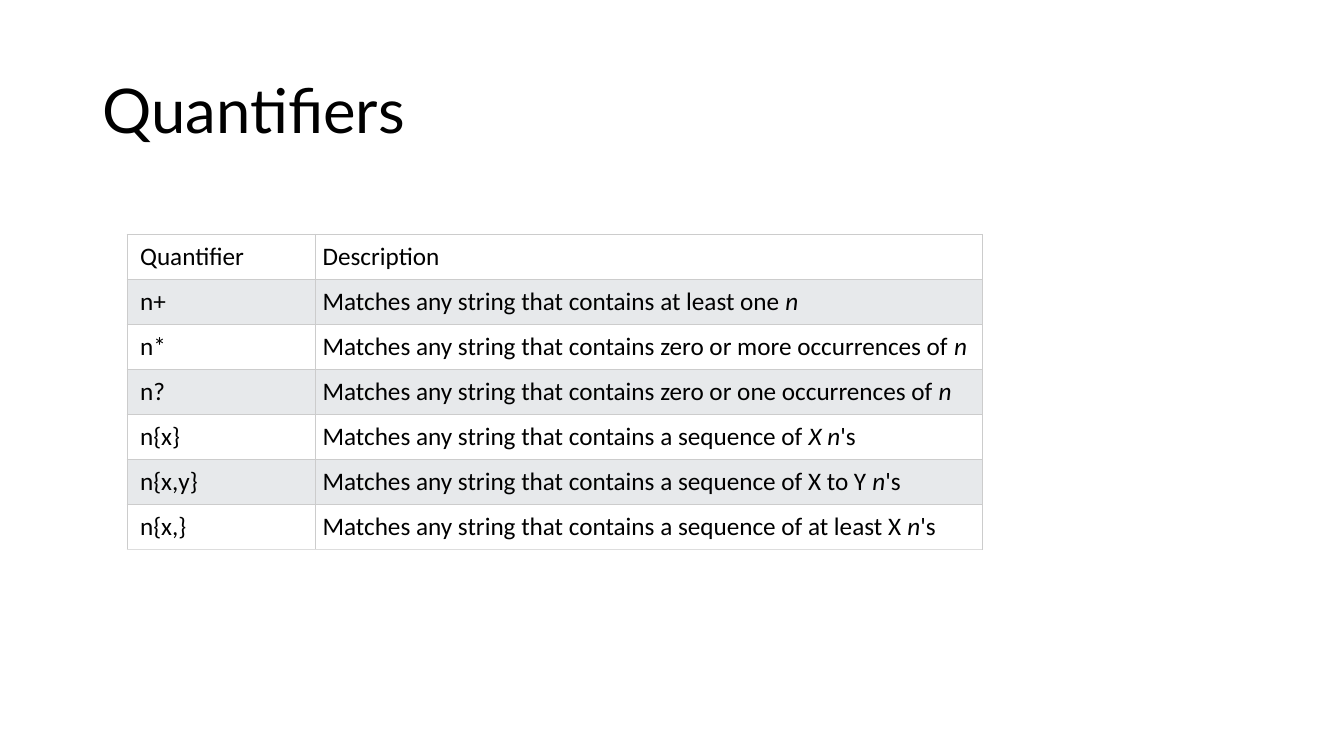
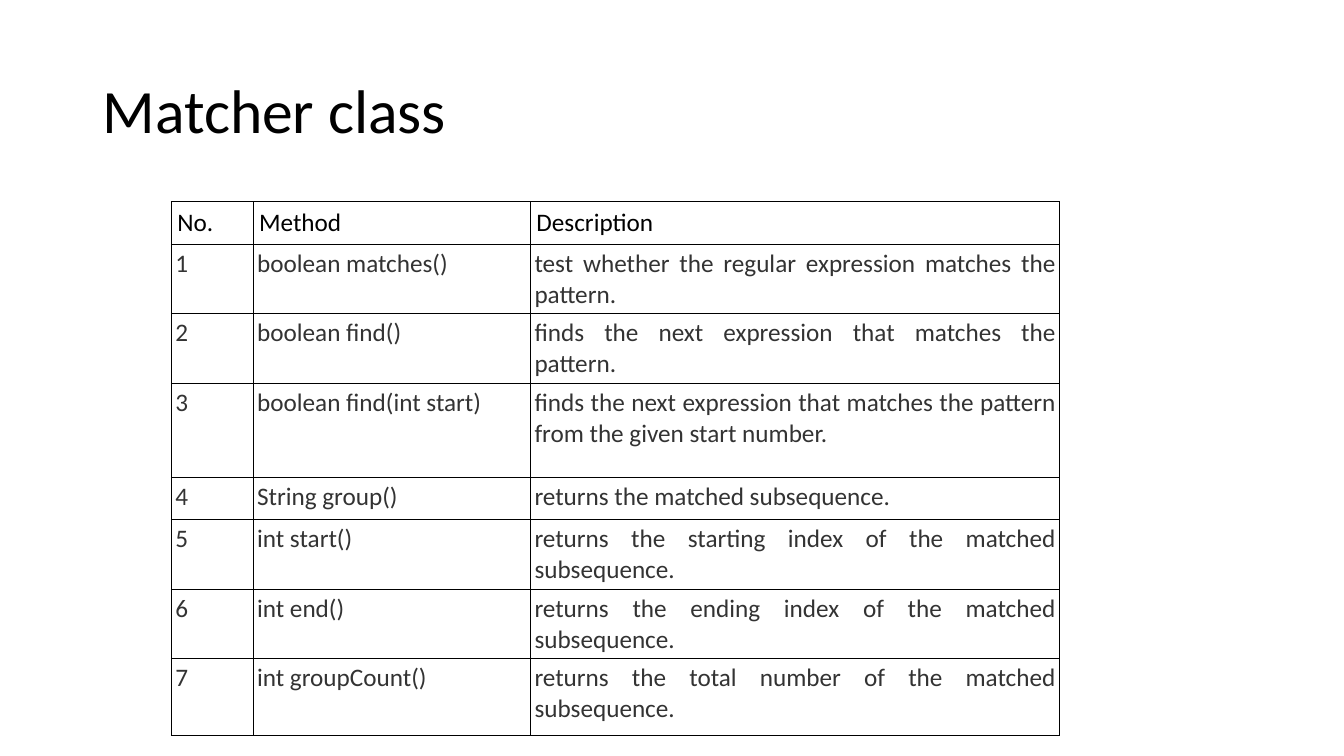
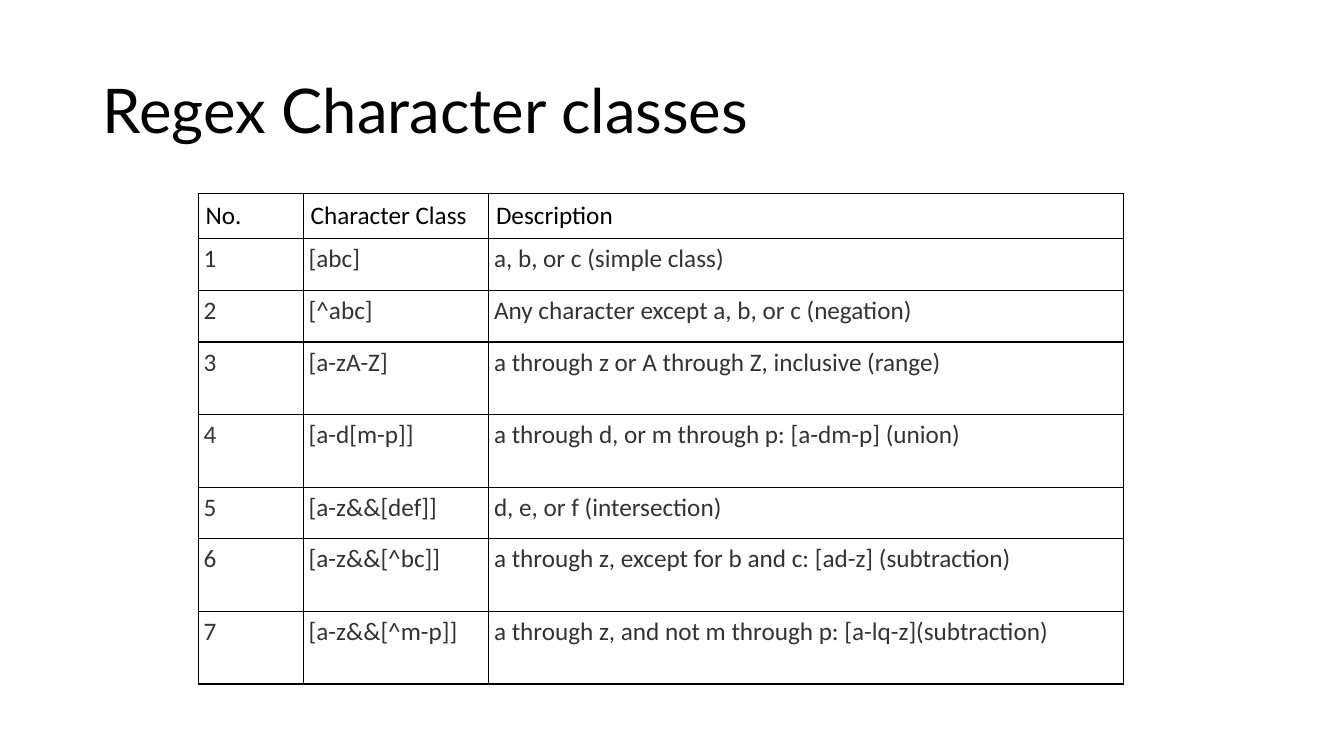
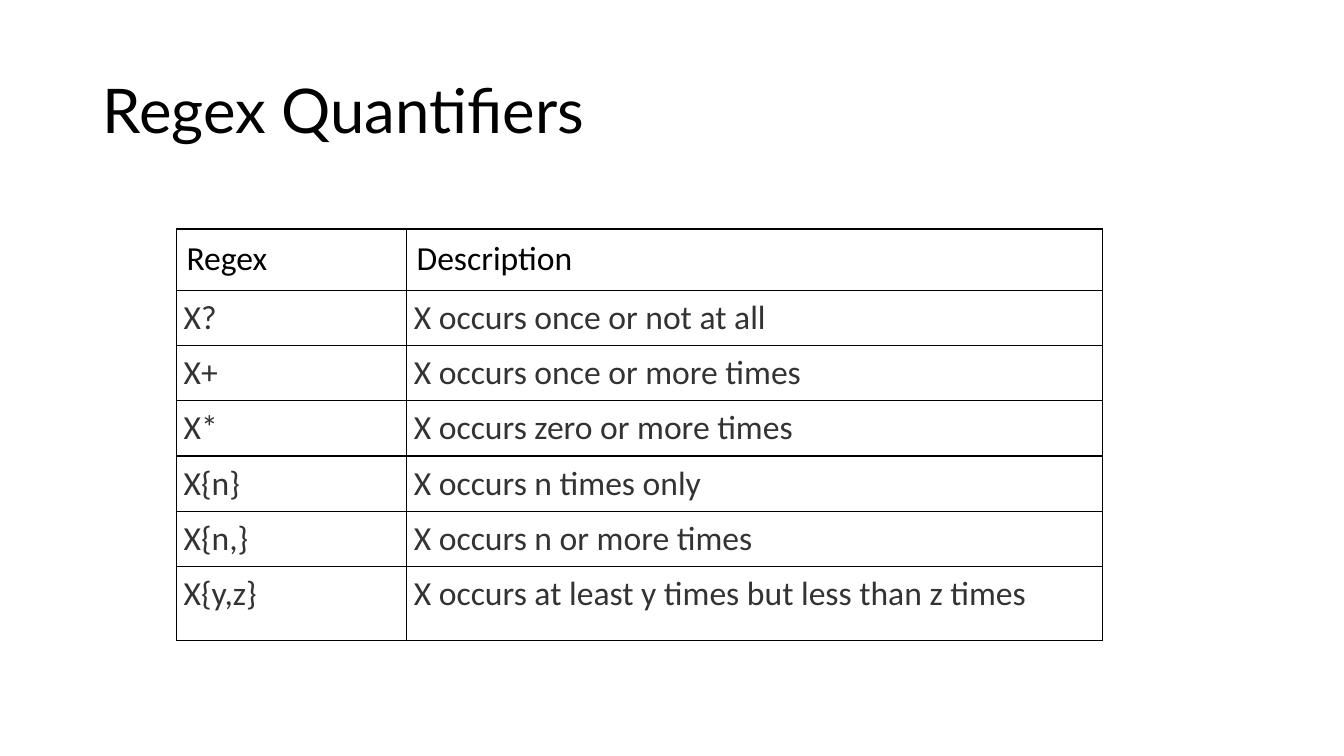
from dataclasses import dataclass

from lxml.etree import SubElement
from pptx import Presentation
from pptx.dml.color import RGBColor
from pptx.enum.text import MSO_ANCHOR, PP_ALIGN
from pptx.oxml.ns import qn
from pptx.slide import Slide
from pptx.table import _Cell
from pptx.util import Cm, Pt

COLORS = {
    "black": "000000",
    "body": "333333",
    "white": "FFFFFF",
    "stripe": "E7E9EB",
    "grid": "CCCCCC",
    "grid_end": "DDDDDD",
}
BODY_FONT = "Calibri"
TITLE_ONLY_LAYOUT = 5
ITALIC_MARK = "_"


@dataclass(frozen=True)
class CellStyle:
    color: str
    margin: float
    alignment: PP_ALIGN = PP_ALIGN.LEFT


@dataclass(frozen=True)
class TableSlide:
    title: str
    left: float
    top: float
    columns: tuple[float, ...]
    heights: tuple[float, ...]
    rows: tuple[tuple[str, ...], ...]
    header: CellStyle
    body: CellStyle
    title_font: str = "Lato"
    size: int = 18
    border: str = "black"
    end_border: str = "black"
    border_width: float = 1
    first_margin: float | None = None
    fills: tuple[str, ...] = ()


def numbered(
    header: tuple[str, str], *entries: tuple[str, str]
) -> tuple[tuple[str, ...], ...]:
    lines = tuple((str(number), *entry) for number, entry in enumerate(entries, 1))
    return (("No.", *header), *lines)


TABLE_SLIDES = (
    TableSlide(
        title="Quantifiers",
        left=3.2,
        top=5.9,
        columns=(4.75, 16.8),
        heights=(1.11,) * 7,
        rows=(
            ("Quantifier", "Description"),
            ("n+", "Matches any string that contains at least one _n_"),
            ("n*", "Matches any string that contains zero or more occurrences of _n_"),
            ("n?", "Matches any string that contains zero or one occurrences of _n_"),
            ("n{x}", "Matches any string that contains a sequence of _X n_'s"),
            ("n{x,y}", "Matches any string that contains a sequence of X to Y _n_'s"),
            ("n{x,}", "Matches any string that contains a sequence of at least X _n_'s"),
        ),
        header=CellStyle("black", 0.18),
        body=CellStyle("black", 0.18),
        border="grid",
        end_border="grid_end",
        border_width=0.6,
        first_margin=0.33,
        fills=("white", "stripe"),
    ),
    TableSlide(
        title="Matcher class",
        left=4.32,
        top=5.08,
        columns=(2.06, 6.99, 13.34),
        heights=(1.07, 1.75, 1.75, 2.37, 1.07, 1.75, 1.75, 1.94),
        rows=numbered(
            ("Method", "Description"),
            ("boolean matches()", "test whether the regular expression matches the pattern."),
            ("boolean find()", "finds the next expression that matches the pattern."),
            (
                "boolean find(int start)",
                "finds the next expression that matches the pattern from the given start number.",
            ),
            ("String group()", "returns the matched subsequence."),
            ("int start()", "returns the starting index of the matched subsequence."),
            ("int end()", "returns the ending index of the matched subsequence."),
            ("int groupCount()", "returns the total number of the matched subsequence."),
        ),
        header=CellStyle("black", 0.15),
        body=CellStyle("body", 0.1, PP_ALIGN.JUSTIFY),
        title_font=BODY_FONT,
    ),
    TableSlide(
        title="Regex Character classes",
        left=5,
        top=4.88,
        columns=(2.65, 4.67, 16),
        heights=(1.13, 1.3, 1.3, 1.83, 1.83, 1.3, 1.83, 1.83),
        rows=numbered(
            ("Character Class", "Description"),
            ("[abc]", "a, b, or c (simple class)"),
            ("[^abc]", "Any character except a, b, or c (negation)"),
            ("[a-zA-Z]", "a through z or A through Z, inclusive (range)"),
            ("[a-d[m-p]]", "a through d, or m through p: [a-dm-p] (union)"),
            ("[a-z&&[def]]", "d, e, or f (intersection)"),
            ("[a-z&&[^bc]]", "a through z, except for b and c: [ad-z] (subtraction)"),
            ("[a-z&&[^m-p]]", "a through z, and not m through p: [a-lq-z](subtraction)"),
        ),
        header=CellStyle("black", 0.18),
        body=CellStyle("body", 0.13, PP_ALIGN.JUSTIFY),
    ),
    TableSlide(
        title="Regex Quantifiers",
        left=4.45,
        top=5.77,
        columns=(5.8, 17.53),
        heights=(1.54, *(1.37,) * 5, 1.85),
        rows=(
            ("Regex", "Description"),
            ("X?", "X occurs once or not at all"),
            ("X+", "X occurs once or more times"),
            ("X*", "X occurs zero or more times"),
            ("X{n}", "X occurs n times only"),
            ("X{n,}", "X occurs n or more times"),
            ("X{y,z}", "X occurs at least y times but less than z times"),
        ),
        header=CellStyle("black", 0.25),
        body=CellStyle("body", 0.18, PP_ALIGN.JUSTIFY),
        size=24,
    ),
)


def rgb(name: str) -> RGBColor:
    return RGBColor.from_string(COLORS[name])


def add_title(slide: Slide, text: str, font_name: str) -> None:
    title = slide.shapes.title
    title.left, title.top, title.width, title.height = (
        Cm(2.33), Cm(1.02), Cm(29.21), Cm(3.68)
    )
    frame = title.text_frame
    frame.text = text
    frame.vertical_anchor = MSO_ANCHOR.MIDDLE
    paragraph = frame.paragraphs[0]
    paragraph.alignment = PP_ALIGN.LEFT
    paragraph.line_spacing = 0.9
    paragraph.font.name = font_name
    paragraph.font.size = Pt(44)
    paragraph.font.color.rgb = rgb("black")


def set_borders(cell: _Cell, color: str, bottom: str, width: float) -> None:
    properties = cell._tc.get_or_add_tcPr()
    for side, name in (("L", color), ("R", color), ("T", color), ("B", bottom)):
        line = SubElement(properties, qn(f"a:ln{side}"), w=str(int(Pt(width))))
        fill = SubElement(line, qn("a:solidFill"))
        SubElement(fill, qn("a:srgbClr"), val=COLORS[name])


def write_cell(cell: _Cell, text: str, style: CellStyle, size: int) -> None:
    margin = Cm(style.margin)
    cell.margin_left = cell.margin_right = margin
    cell.margin_top = cell.margin_bottom = margin
    paragraph = cell.text_frame.paragraphs[0]
    paragraph.alignment = style.alignment
    paragraph.font.name = BODY_FONT
    paragraph.font.size = Pt(size)
    paragraph.font.color.rgb = rgb(style.color)
    for index, part in enumerate(text.split(ITALIC_MARK)):
        if part:
            run = paragraph.add_run()
            run.text = part
            if index % 2:
                run.font.italic = True


def add_table(slide: Slide, content: TableSlide) -> None:
    table = slide.shapes.add_table(
        len(content.rows), len(content.columns),
        Cm(content.left), Cm(content.top),
        Cm(sum(content.columns)), Cm(sum(content.heights)),
    ).table
    table.first_row = False
    table.horz_banding = False
    for column, width in zip(table.columns, content.columns):
        column.width = Cm(width)
    for row, height in zip(table.rows, content.heights):
        row.height = Cm(height)
    last_row = len(content.rows) - 1
    for row_index, texts in enumerate(content.rows):
        style = content.body if row_index else content.header
        bottom = content.end_border if row_index == last_row else content.border
        for column_index, text in enumerate(texts):
            cell = table.cell(row_index, column_index)
            write_cell(cell, text, style, content.size)
            if column_index == 0 and content.first_margin is not None:
                cell.margin_left = Cm(content.first_margin)
            set_borders(cell, content.border, bottom, content.border_width)
            if content.fills:
                cell.fill.solid()
                cell.fill.fore_color.rgb = rgb(content.fills[row_index % len(content.fills)])
            else:
                cell.fill.background()


def main() -> None:
    presentation = Presentation()
    presentation.slide_width = Cm(33.87)
    presentation.slide_height = Cm(19.05)
    for content in TABLE_SLIDES:
        slide = presentation.slides.add_slide(presentation.slide_layouts[TITLE_ONLY_LAYOUT])
        add_title(slide, content.title, content.title_font)
        add_table(slide, content)
    presentation.save("out.pptx")


if __name__ == "__main__":
    main()
